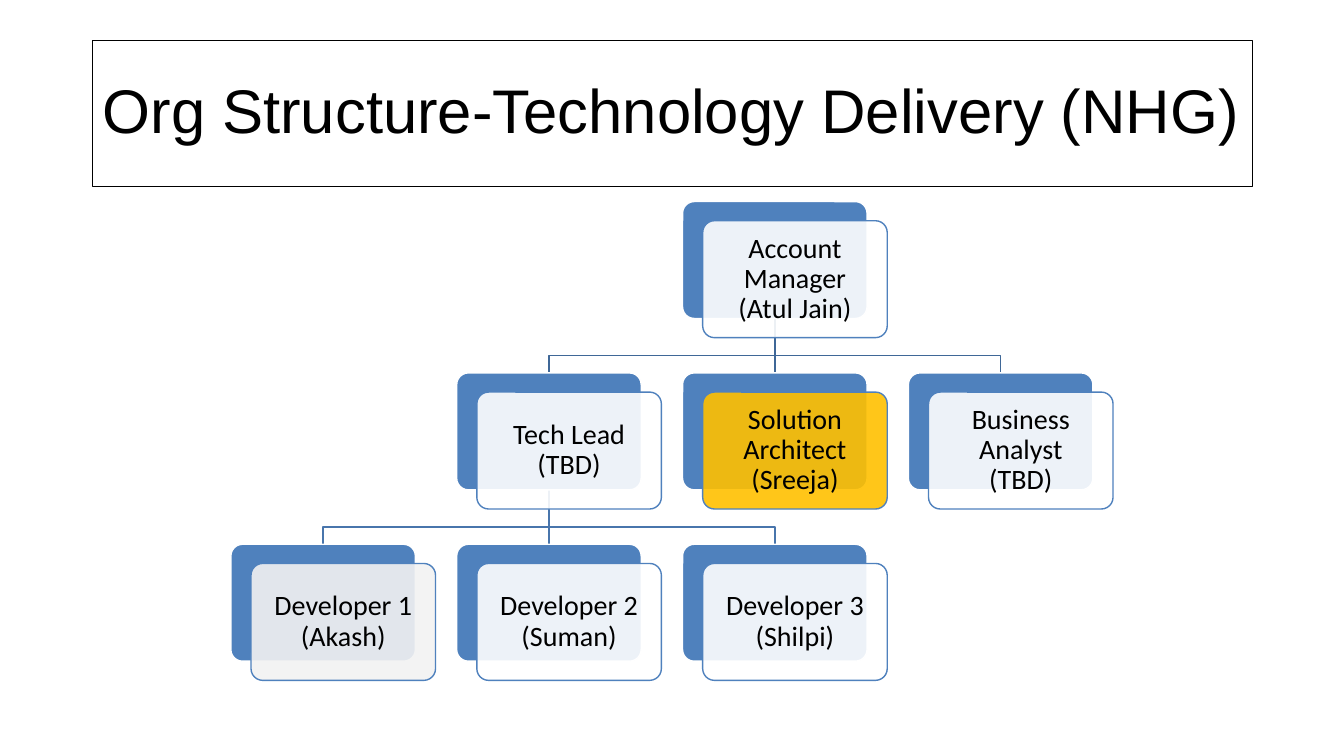
from dataclasses import dataclass

from lxml.etree import SubElement
from pptx import Presentation
from pptx.dml.color import RGBColor
from pptx.enum.shapes import MSO_CONNECTOR as Connector, MSO_SHAPE as Shape
from pptx.enum.text import MSO_ANCHOR as Anchor, PP_ALIGN as Align
from pptx.oxml.ns import qn
from pptx.util import Inches, Pt


@dataclass(frozen=True)
class Theme:
    """Colours, fonts and type sizes."""
    ink: str = "000000"
    paper: str = "FFFFFF"
    blue: str = "4F81BD"
    grey: str = "F2F2F2"
    amber: str = "FFC000"
    upper_link: str = "3F6797"
    lower_link: str = "4875AC"
    title_font: str = "Arial"
    card_font: str = "Calibri"
    title_size: int = 44
    card_size: int = 20


THEME = Theme()
CARD_WIDTH, CARD_HEIGHT = 1.83, 1.16
COLUMN_STEP, ROW_STEP = 2.24, 1.7
OFFSET = (0.2, 0.19)
BEND = 0.37

ROLES = {
    "manager": (2, 0, "Account Manager", "(Atul Jain)", THEME.paper),
    "lead": (1, 1, "Tech Lead", "(TBD)", THEME.paper),
    "architect": (2, 1, "Solution Architect", "(Sreeja)", THEME.amber),
    "analyst": (3, 1, "Business Analyst", "(TBD)", THEME.paper),
    "first": (0, 2, "Developer 1", "(Akash)", THEME.grey),
    "second": (1, 2, "Developer 2", "(Suman)", THEME.paper),
    "third": (2, 2, "Developer 3", "(Shilpi)", THEME.paper),
}
REPORTS = [
    ("manager", ("lead", "architect", "analyst"), THEME.upper_link),
    ("lead", ("first", "second", "third"), THEME.lower_link),
]


def color(code):
    """Turn a hex code into a colour."""
    return RGBColor.from_string(code)


def set_line(shape, code, width=1):
    """Give a shape or connector its line."""
    shape.line.color.rgb = color(code)
    shape.line.width = Pt(width)


def write(para, lines, font, size):
    """Write lines into one paragraph, run by run."""
    para.line_spacing = 0.9
    for index, line in enumerate(lines):
        if index:
            para.add_line_break()
        span = para.add_run()
        span.text = line
        span.font.name = font
        span.font.size = Pt(size)
        span.font.color.rgb = color(THEME.ink)


def add_title(page, left, top, width, height):
    """Place the framed title."""
    box = page.shapes.add_textbox(*map(Inches, (left, top, width, height)))
    set_line(box, THEME.ink, 0.75)
    frame = box.text_frame
    frame.word_wrap = True
    frame.vertical_anchor = Anchor.MIDDLE
    write(frame.paragraphs[0], ["Org Structure-Technology Delivery (NHG)"],
          THEME.title_font, THEME.title_size)


def add_panel(page, left, top, fill, line):
    """Place one rounded panel."""
    panel = page.shapes.add_shape(
        Shape.ROUNDED_RECTANGLE,
        *map(Inches, (left, top, CARD_WIDTH, CARD_HEIGHT)))
    panel.adjustments[0] = 0.1
    panel.shadow.inherit = False
    panel.fill.solid()
    panel.fill.fore_color.rgb = color(fill)
    set_line(panel, line)
    return panel


def add_card(page, left, top, lines, fill):
    """Place a role card over its blue backing and return the backing."""
    backing = add_panel(page, left, top, THEME.blue, THEME.paper)
    card = add_panel(page, left + OFFSET[0], top + OFFSET[1], fill, THEME.blue)
    tint = card.fill._xPr.find(".//" + qn("a:srgbClr"))
    SubElement(tint, qn("a:alpha"), val="90000")
    frame = card.text_frame
    frame.word_wrap = True
    frame.vertical_anchor = Anchor.MIDDLE
    frame.margin_left = frame.margin_right = Inches(0.08)
    frame.margin_top = frame.margin_bottom = Inches(0.08)
    para = frame.paragraphs[0]
    para.alignment = Align.CENTER
    write(para, lines, THEME.card_font, THEME.card_size)
    return backing


def add_link(page, parent, child, code):
    """Link two cards behind all panels, bending where columns differ."""
    start_x = parent.left + parent.width // 2
    start_y = parent.top + parent.height
    end_x, end_y = child.left + child.width // 2, child.top
    if start_x == end_x:
        link = page.shapes.add_connector(
            Connector.STRAIGHT, start_x, start_y, end_x, end_y)
        link.begin_connect(parent, 2)
        link.end_connect(child, 0)
        SubElement(link._element.spPr, qn("a:effectLst"))
        set_line(link, code)
    else:
        bend_y = start_y + Inches(BEND)
        builder = page.shapes.build_freeform(start_x, start_y)
        builder.add_line_segments(
            [(start_x, bend_y), (end_x, bend_y), (end_x, end_y)], close=False)
        link = builder.convert_to_shape()
        link.shadow.inherit = False
        link.fill.background()
        set_line(link, code)
    page.shapes._spTree.insert(2, link._element)


def add_org_chart(page, left, top):
    """Place the role cards on a grid and link each one to its manager."""
    cards = {}
    for key, (column, row, role, person, fill) in ROLES.items():
        cards[key] = add_card(page, left + column * COLUMN_STEP,
                              top + row * ROW_STEP, [role, person], fill)
    for manager, team, code in REPORTS:
        for member in team:
            add_link(page, cards[manager], cards[member], code)


def main():
    """Build and save the deck."""
    deck = Presentation()
    deck.slide_width, deck.slide_height = Inches(13.33), Inches(7.5)
    page = deck.slides.add_slide(deck.slide_layouts[6])
    add_title(page, 0.92, 0.4, 11.5, 1.45)
    add_org_chart(page, 2.29, 2)
    deck.save("out.pptx")


if __name__ == "__main__":
    main()
